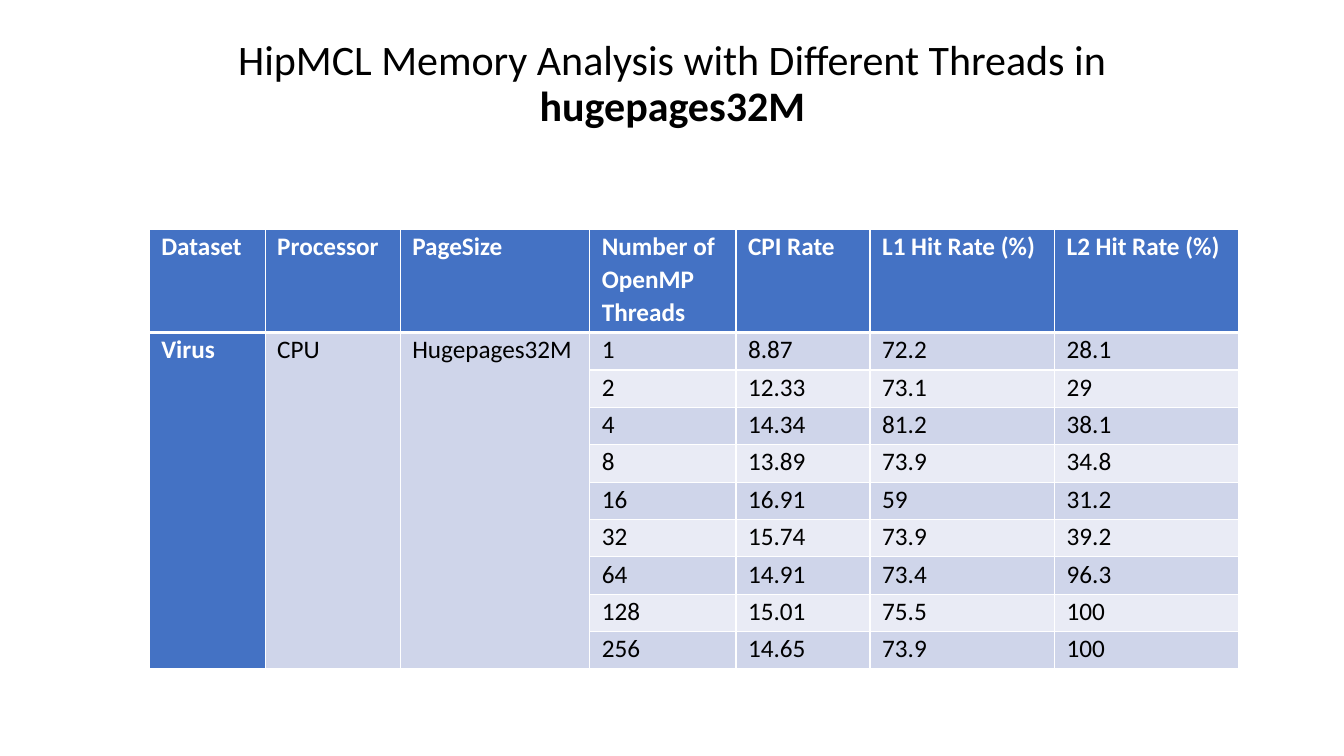
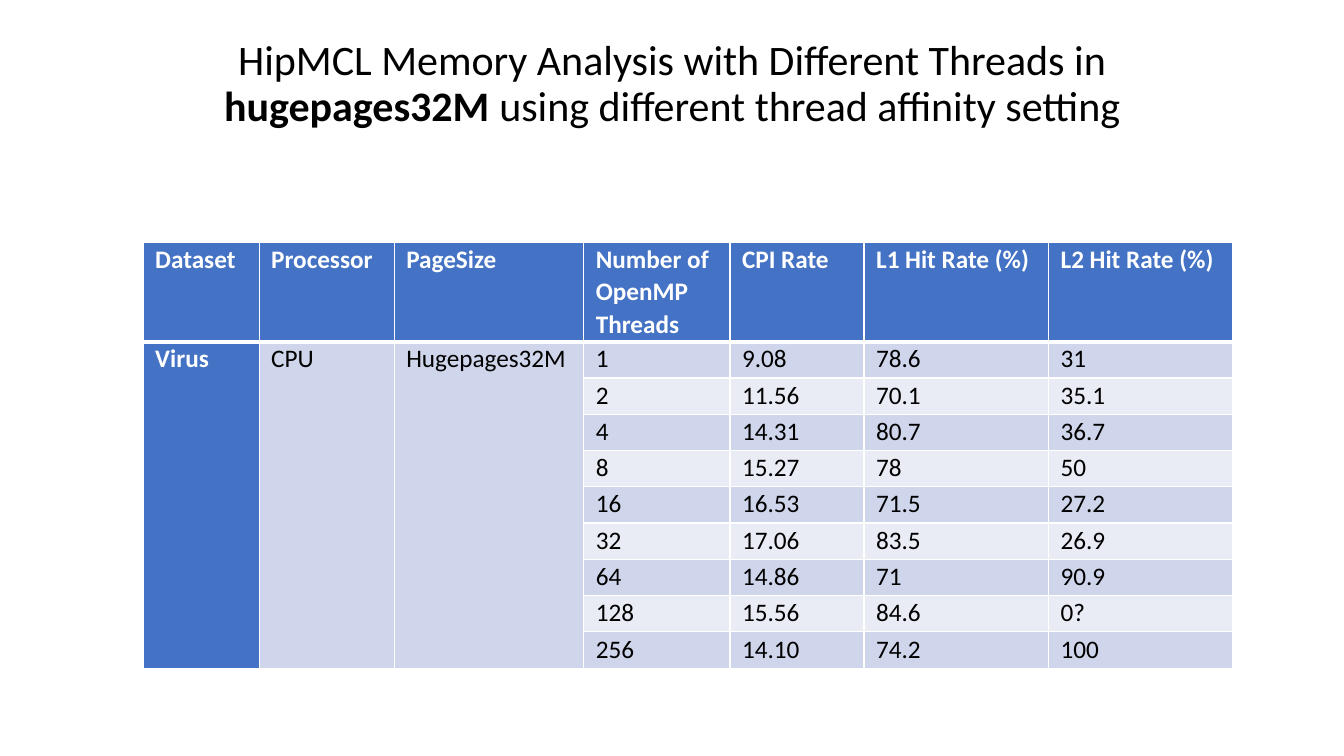
"""Build two slides of HipMCL memory measurements by thread count."""
import dataclasses

import pptx
import pptx.dml.color
import pptx.enum.text
import pptx.oxml
import pptx.oxml.ns
import pptx.util

Inches = pptx.util.Inches
Pt = pptx.util.Pt

HEADINGS = ("Dataset", "Processor", "PageSize", "Number of OpenMP Threads",
            "CPI Rate", "L1 Hit Rate (%)", "L2 Hit Rate (%)")
SETUP = ("Virus", "CPU", "Hugepages32M")
COLUMN_WIDTHS = (1.15, 1.34, 1.88, 1.45, 1.33, 1.83, 1.83)
TITLE_START = (("HipMCL Memory Analysis with Different Threads in ", False),
               ("hugepages32M", True))

ANALYSES = [
    {
        "title": TITLE_START,
        "left": 1.48, "top": 2.28, "height": 4.36, "heading_height": 1.02,
        "measurements": [
            ("1", "8.87", "72.2", "28.1"),
            ("2", "12.33", "73.1", "29"),
            ("4", "14.34", "81.2", "38.1"),
            ("8", "13.89", "73.9", "34.8"),
            ("16", "16.91", "59", "31.2"),
            ("32", "15.74", "73.9", "39.2"),
            ("64", "14.91", "73.4", "96.3"),
            ("128", "15.01", "75.5", "100"),
            ("256", "14.65", "73.9", "100"),
        ],
    },
    {
        "title": TITLE_START + ((" using different thread affinity setting", False),),
        "left": 1.42, "top": 2.4, "height": 4.23, "heading_height": 0.99,
        "measurements": [
            ("1", "9.08", "78.6", "31"),
            ("2", "11.56", "70.1", "35.1"),
            ("4", "14.31", "80.7", "36.7"),
            ("8", "15.27", "78", "50"),
            ("16", "16.53", "71.5", "27.2"),
            ("32", "17.06", "83.5", "26.9"),
            ("64", "14.86", "71", "90.9"),
            ("128", "15.56", "84.6", "0?"),
            ("256", "14.10", "74.2", "100"),
        ],
    },
]


@dataclasses.dataclass(frozen=True)
class Theme:
    font: str = "Calibri"
    title_size: int = 30
    cell_size: int = 18
    text: str = "000000"
    white: str = "FFFFFF"
    accent: str = "4472C4"
    bands: tuple = ("CFD5EA", "E9EBF5")
    rule: int = 1
    heading_rule: int = 3
    title_spacing: float = 0.9
    cell_spacing: float = 1.07
    cell_margin: float = 0.12


THEME = Theme()


def rgb(color):
    return pptx.dml.color.RGBColor.from_string(color)


def style_paragraph(paragraph, size, color, spacing):
    paragraph.font.name = THEME.font
    paragraph.font.size = Pt(size)
    paragraph.font.color.rgb = rgb(color)
    paragraph.line_spacing = spacing


def add_title(slide, phrases):
    title = slide.shapes.add_textbox(Inches(0.92), Inches(0.32), Inches(11.5), Inches(1.02))
    frame = title.text_frame
    frame.word_wrap = True
    frame.vertical_anchor = pptx.enum.text.MSO_ANCHOR.BOTTOM
    paragraph = frame.paragraphs[0]
    paragraph.alignment = pptx.enum.text.PP_ALIGN.CENTER
    style_paragraph(paragraph, THEME.title_size, THEME.text, THEME.title_spacing)
    for phrase, bold in phrases:
        run = paragraph.add_run()
        run.text = phrase
        run.font.bold = bold


def add_borders(cell, top, bottom):
    properties = cell._tc.get_or_add_tcPr()
    sides = {"L": THEME.rule, "R": THEME.rule, "T": top, "B": bottom}
    for side, width in sides.items():
        properties.append(pptx.oxml.parse_xml(
            f'<a:ln{side} {pptx.oxml.ns.nsdecls("a")} w="{Pt(width)}"><a:solidFill>'
            f'<a:srgbClr val="{THEME.white}"/></a:solidFill></a:ln{side}>'))


def style_cell(cell, row, column):
    emphasized = row == 0 or column == 0
    if emphasized:
        fill = THEME.accent
    elif column < len(SETUP):
        fill = THEME.bands[0]
    else:
        fill = THEME.bands[(row - 1) % 2]
    add_borders(cell,
                top=THEME.heading_rule if row == 1 else THEME.rule,
                bottom=THEME.heading_rule if row == 0 else THEME.rule)
    cell.fill.solid()
    cell.fill.fore_color.rgb = rgb(fill)
    cell.margin_left = cell.margin_right = Inches(THEME.cell_margin)
    cell.margin_top = cell.margin_bottom = 0
    paragraph = cell.text_frame.paragraphs[0]
    style_paragraph(paragraph, THEME.cell_size,
                    THEME.white if emphasized else THEME.text, THEME.cell_spacing)
    paragraph.font.bold = emphasized


def add_measurements(slide, analysis):
    measurements = analysis["measurements"]
    blank_setup = ("",) * len(SETUP)
    rows = [HEADINGS] + [(blank_setup if index else SETUP) + values
                         for index, values in enumerate(measurements)]
    table = slide.shapes.add_table(
        len(rows), len(HEADINGS), Inches(analysis["left"]), Inches(analysis["top"]),
        Inches(sum(COLUMN_WIDTHS)), Inches(analysis["height"])).table
    for column, width in zip(table.columns, COLUMN_WIDTHS):
        column.width = Inches(width)
    heading_height = analysis["heading_height"]
    value_height = (analysis["height"] - heading_height) / len(measurements)
    for index, row in enumerate(table.rows):
        row.height = Inches(value_height if index else heading_height)
    for row, texts in enumerate(rows):
        for column, text in enumerate(texts):
            cell = table.cell(row, column)
            cell.text = text
            style_cell(cell, row, column)
    for column in range(len(SETUP)):
        table.cell(1, column).merge(table.cell(len(measurements), column))


deck = pptx.Presentation()
deck.slide_width, deck.slide_height = Inches(13.33), Inches(7.5)
for analysis in ANALYSES:
    slide = deck.slides.add_slide(deck.slide_layouts[6])
    add_title(slide, analysis["title"])
    add_measurements(slide, analysis)
deck.save("out.pptx")
